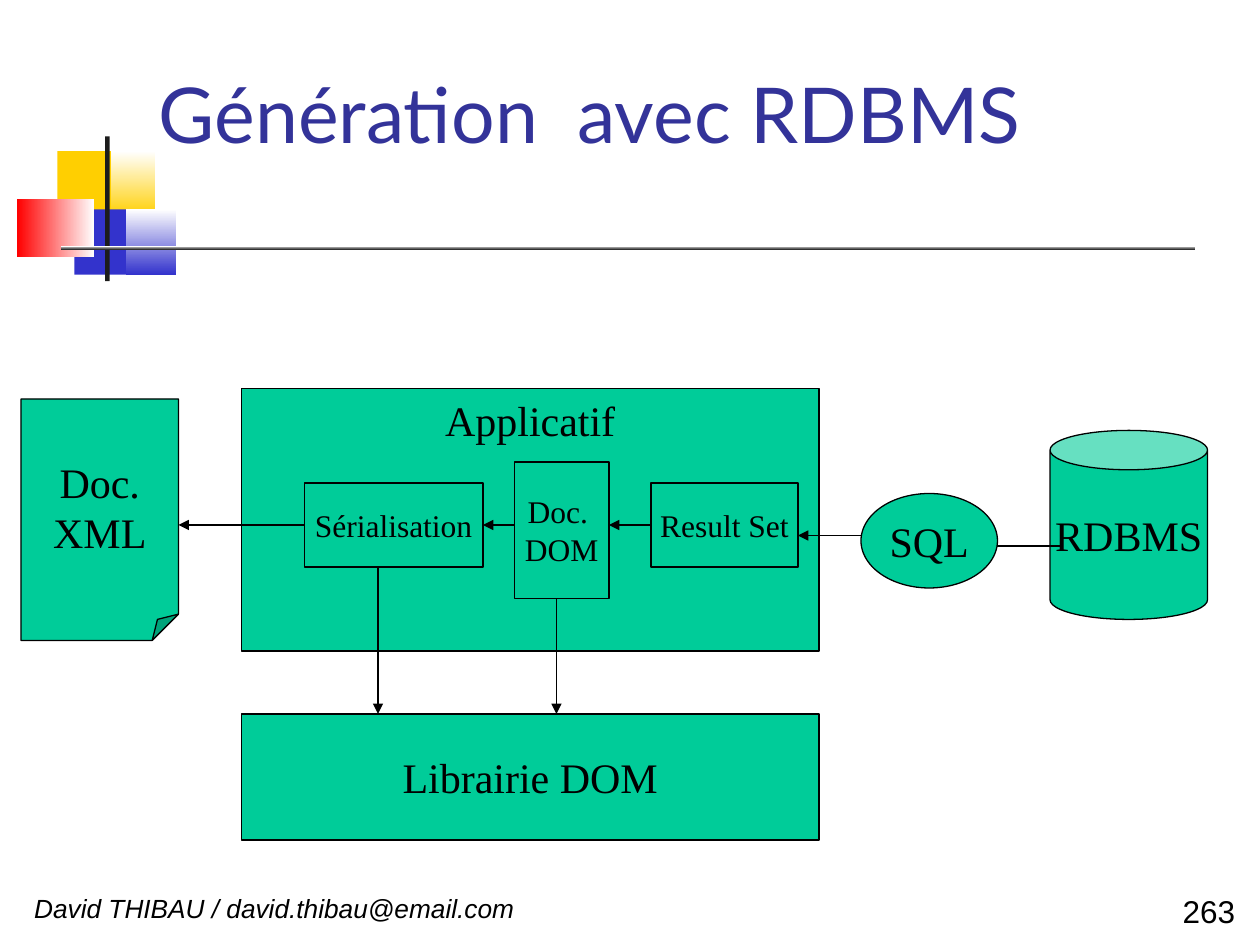
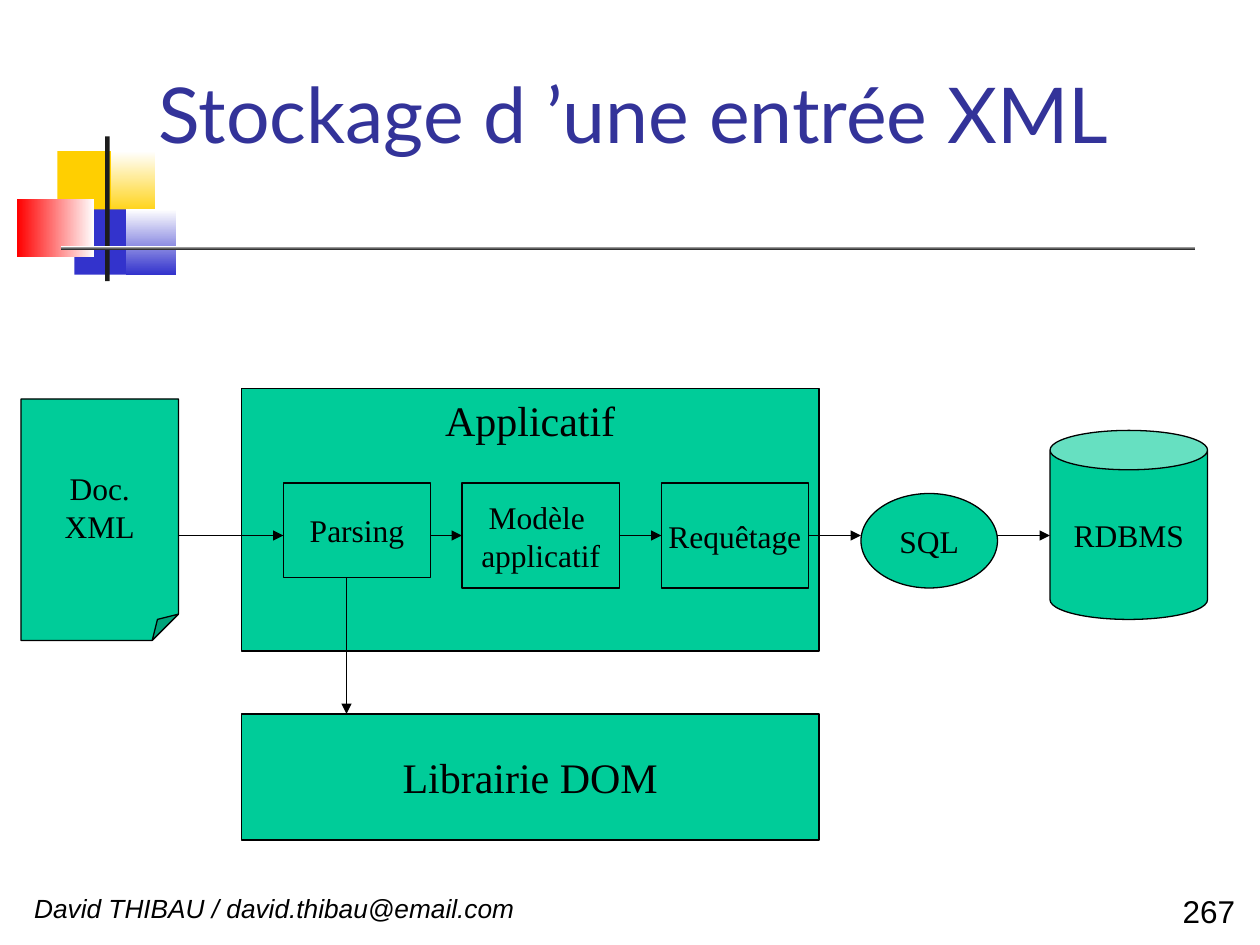
from lxml import etree
from pptx import Presentation
from pptx import util as u
from pptx.dml.color import RGBColor
from pptx.enum import shapes, text
from pptx.oxml.ns import qn

SHAPE = shapes.MSO_SHAPE
ALIGN = text.PP_ALIGN
ANCHOR = text.MSO_ANCHOR
GRID = 2.54 / 12  # the diagrams sit on a grid of twelfths of an inch, in cm

AUTHOR = "David THIBAU / david.thibau@email.com"

# left, top, width, height in cm; one colour, or start and end of a gradient
ORNAMENT = [
    ((1.16, 3.05, 1.22, 1.32), ["FFCF01"], 0),
    ((2.23, 3.05, 0.9, 1.32), ["FFCF01", "FFFFFF"], 90),
    ((1.5, 4.22, 1.17, 1.32), ["3333CC"], 0),
    ((2.54, 4.22, 1.02, 1.32), ["3333CC", "FFFFFF"], 90),
    ((0.35, 4.02, 1.55, 1.17), ["FFFFFF", "FF0000"], 180),
    ((2.12, 2.75, 0.09, 2.92), ["1C1C1C"], 0),
    ((1.23, 4.95, 22.86, 0.09), ["1C1C1C", "FFFFFF"], 90),
]


def rgb(color):
    return RGBColor.from_string(color)


def grid(*values):
    return [u.Cm(v * GRID) for v in values]


class Deck:
    green, black, title_blue = "00CC99", "000000", "333399"
    body_font, title_font, footer_font = "Times New Roman", "Lato", "Arial"

    def __init__(self):
        self.prs = Presentation()
        self.prs.slide_width, self.prs.slide_height = u.Cm(25.4), u.Cm(19.05)
        self.s = None

    def slide(self, title, number):
        """Start a slide with its ornament, footer and title."""
        self.s = self.prs.slides.add_slide(self.prs.slide_layouts[6])
        for box, colors, angle in ORNAMENT:
            self.block(box, colors, angle)
        self.label((0.69, 18.14, 21.62, 0.48), AUTHOR, self.footer_font, 15,
                   spacing=0.76, italic=True)
        self.label((22, 18.16, 2.9, 0.58), str(number), self.footer_font, 18,
                   spacing=0.76, align=ALIGN.RIGHT)
        self.label((3.2, 0.23, 21.64, 4.42), title, self.title_font, 44,
                   color=self.title_blue, spacing=0.82, anchor=ANCHOR.MIDDLE)

    def block(self, box, colors, angle):
        sp = self.s.shapes.add_shape(SHAPE.RECTANGLE, *map(u.Cm, box))
        sp.shadow.inherit = False
        sp.line.fill.background()
        if len(colors) == 1:
            sp.fill.solid()
            sp.fill.fore_color.rgb = rgb(colors[0])
        else:
            sp.fill.gradient()
            sp.fill.gradient_angle = angle
            for stop, color in zip(sp.fill.gradient_stops, colors):
                stop.color.rgb = rgb(color)

    def run(self, p, words, font, size, color, italic=False):
        r = p.add_run()
        r.text = words
        r.font.name, r.font.size, r.font.italic = font, u.Pt(size), italic
        r.font.color.rgb = rgb(color)

    def label(self, box, words, font, size, color=black, spacing=1.0,
              align=ALIGN.LEFT, anchor=ANCHOR.TOP, italic=False):
        tf = self.s.shapes.add_textbox(*map(u.Cm, box)).text_frame
        tf.word_wrap = True
        tf.vertical_anchor = anchor
        tf.margin_left = tf.margin_right = tf.margin_top = tf.margin_bottom = 0
        p = tf.paragraphs[0]
        p.alignment, p.line_spacing = align, spacing
        self.run(p, words, font, size, color, italic)

    def node(self, box, *lines, size=18, kind=SHAPE.RECTANGLE, anchor=ANCHOR.MIDDLE):
        """Draw a green shape, placed in grid units, with one paragraph per line."""
        sp = self.s.shapes.add_shape(kind, *grid(*box))
        sp.shadow.inherit = False
        sp.fill.solid()
        sp.fill.fore_color.rgb = rgb(self.green)
        sp.line.color.rgb = rgb(self.black)
        sp.line.width = u.Pt(0.75)
        tf = sp.text_frame
        tf.word_wrap = False
        tf.vertical_anchor = anchor
        for i, words in enumerate(lines):
            p = tf.add_paragraph() if i else tf.paragraphs[0]
            p.alignment = ALIGN.CENTER
            self.run(p, words, self.body_font, size, self.black)

    def line(self, x1, y1, x2, y2, arrow=True):
        """Join two points given in grid units."""
        c = self.s.shapes.add_connector(shapes.MSO_CONNECTOR.STRAIGHT,
                                        *grid(x1, y1, x2, y2))
        c.line.color.rgb = rgb(self.black)
        c.line.width = u.Pt(0.75)
        spPr = c.element.spPr
        if arrow:
            etree.SubElement(spPr.find(qn("a:ln")), qn("a:tailEnd"), type="triangle")
        etree.SubElement(spPr, qn("a:effectLst"))

    def architecture(self, end_size):
        """Draw the nodes common to both diagrams; end_size is for the outer ones."""
        self.node((100, 41, 15, 18), "RDBMS", size=end_size, kind=SHAPE.CAN)
        self.node((82, 47, 13, 9), "SQL", size=end_size, kind=SHAPE.OVAL)
        self.node((2, 38, 15, 23), "Doc.", "XML", size=end_size,
                  kind=SHAPE.FOLDED_CORNER)
        self.node((23, 37, 55, 25), "Applicatif", size=24, anchor=ANCHOR.TOP)
        self.node((23, 68, 55, 12), "Librairie DOM", size=24)


def generation(deck):
    deck.slide("Génération  avec RDBMS", 263)
    deck.architecture(24)
    deck.node((49, 44, 9, 13), "Doc. ", "DOM")
    deck.node((29, 46, 17, 8), "Sérialisation")
    deck.node((62, 46, 14, 8), "Result Set")
    deck.line(95, 52, 101, 52, arrow=False)
    deck.line(82, 51, 76, 51)
    for start, end in [(62, 58), (49, 46), (29, 17)]:
        deck.line(start, 50, end, 50)
    for x, bottom in [(36, 54), (53, 57)]:
        deck.line(x, bottom, x, 68)


def storage(deck):
    deck.slide("Stockage d ’une entrée XML", 267)
    deck.architecture(18)
    deck.node((27, 46, 14, 9), "Parsing")
    deck.node((44, 46, 15, 10), "Modèle ", "applicatif")
    deck.node((63, 46, 14, 10), "Requêtage")
    for start, end in [(17, 27), (41, 44), (59, 63), (77, 82), (95, 100)]:
        deck.line(start, 51, end, 51)
    deck.line(33, 55, 33, 68)


def main():
    deck = Deck()
    generation(deck)
    storage(deck)
    deck.prs.save("out.pptx")


if __name__ == "__main__":
    main()
